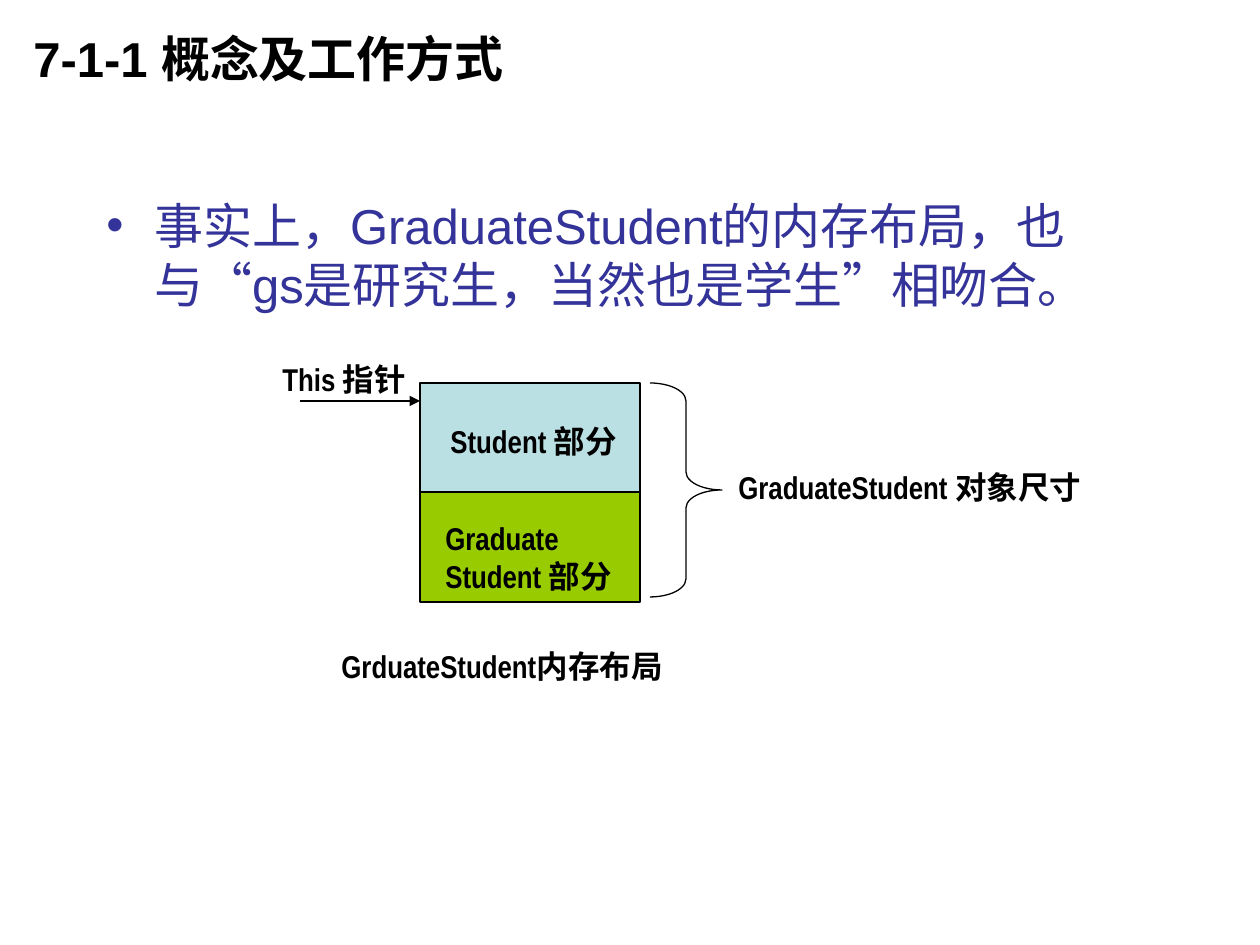
from lxml import etree
from pptx import Presentation
from pptx.dml.color import RGBColor
from pptx.enum.shapes import MSO_CONNECTOR, MSO_SHAPE
from pptx.enum.text import MSO_ANCHOR, MSO_AUTO_SIZE
from pptx.oxml.ns import qn
from pptx.util import Emu, Pt

RECT, BRACE = MSO_SHAPE.RECTANGLE, MSO_SHAPE.RIGHT_BRACE
STRAIGHT = MSO_CONNECTOR.STRAIGHT
TOP, MIDDLE = MSO_ANCHOR.TOP, MSO_ANCHOR.MIDDLE
FIT_SHAPE = MSO_AUTO_SIZE.SHAPE_TO_FIT_TEXT

BLACK, NAVY = "000000", "333399"
PALE_BLUE, GREEN = "BBE0E3", "99CC00"


def px(value):
    return Emu(round(value * 914400 / 126))


def color(value):
    return RGBColor.from_string(value)


def add_span(para, text, size, font, ink, bold):
    span = para.add_run()
    span.text = text
    span.font.size = Pt(size)
    span.font.name = font
    span.font.bold = bold
    span.font.color.rgb = color(ink)


def add_text(page, box, lines, size=18, font="Arial Narrow", ink=BLACK,
             bold=True, anchor=TOP, wrap=False):
    frame = page.shapes.add_textbox(*map(px, box)).text_frame
    frame.word_wrap = wrap
    if not wrap:
        frame.auto_size = FIT_SHAPE
    frame.vertical_anchor = anchor
    for index, line in enumerate(lines):
        para = frame.add_paragraph() if index else frame.paragraphs[0]
        add_span(para, line, size, font, ink, bold)
    return frame


def add_outlined(page, kind, box, fill=None):
    shape = page.shapes.add_shape(kind, *map(px, box))
    shape.shadow.inherit = False
    if fill:
        shape.fill.solid()
        shape.fill.fore_color.rgb = color(fill)
    else:
        shape.fill.background()
    shape.line.color.rgb = color(BLACK)
    shape.line.width = Pt(0.75)
    return shape


def add_arrow(page, left, top, length):
    arrow = page.shapes.add_connector(
        STRAIGHT, px(left), px(top), px(left + length), px(top))
    arrow.line.color.rgb = color(BLACK)
    arrow.line.width = Pt(0.75)
    etree.SubElement(arrow.line._get_or_add_ln(), qn("a:tailEnd"), type="triangle")
    etree.SubElement(arrow._element.spPr, qn("a:effectLst"))


def add_title(page, box):
    add_text(page, box, ["7-1-1 概念及工作方式"], size=28, font="Arial",
             anchor=MIDDLE, wrap=True)


def add_body(page, box):
    frame = add_text(
        page, box,
        ["事实上，GraduateStudent的内存布局，也与“gs是研究生，当然也是学生”相吻合。"],
        size=28, font="Arial", ink=NAVY, bold=False, wrap=True)
    # Hanging bullet
    props = frame.paragraphs[0]._p.get_or_add_pPr()
    props.set("marL", str(px(48)))
    props.set("indent", str(-px(48)))
    etree.SubElement(props, qn("a:buFont"), typeface="Arial")
    etree.SubElement(props, qn("a:buChar"), char="•")


def add_memory_layout(page, box):
    left, top, width, height = box
    half = height // 2

    # Two stacked parts of the object
    add_outlined(page, RECT, (left, top, width, half), PALE_BLUE)
    add_outlined(page, RECT, (left, top + half, width, height - half), GREEN)
    add_text(page, (left + 18, top + 33, 205, 50), ["Student 部分"])
    add_text(page, (left + 13, top + 130, 199, 88), ["Graduate", "Student 部分"])

    # Pointer to the start of the object
    add_arrow(page, left - 120, top + 18, 120)
    add_text(page, (left - 150, top - 29, 156, 50), ["This 指针"])

    # Brace marking the whole size
    brace = add_outlined(page, BRACE, (left + width + 10, top, 72, 214))
    brace.adjustments[0] = 0.25
    add_text(page, (left + width + 86, top + 79, 375, 50),
             ["GraduateStudent 对象尺寸"])

    # Caption
    add_text(page, (left - 91, top + height + 39, 360, 50),
             ["GrduateStudent内存布局"], anchor=MIDDLE)


def main():
    deck = Presentation()
    deck.slide_width, deck.slide_height = px(1260), px(945)
    page = deck.slides.add_slide(deck.slide_layouts[6])
    add_title(page, (21, 0, 945, 116))
    add_body(page, (94, 189, 1071, 651))
    add_memory_layout(page, (420, 383, 220, 219))
    deck.save("out.pptx")


if __name__ == "__main__":
    main()
